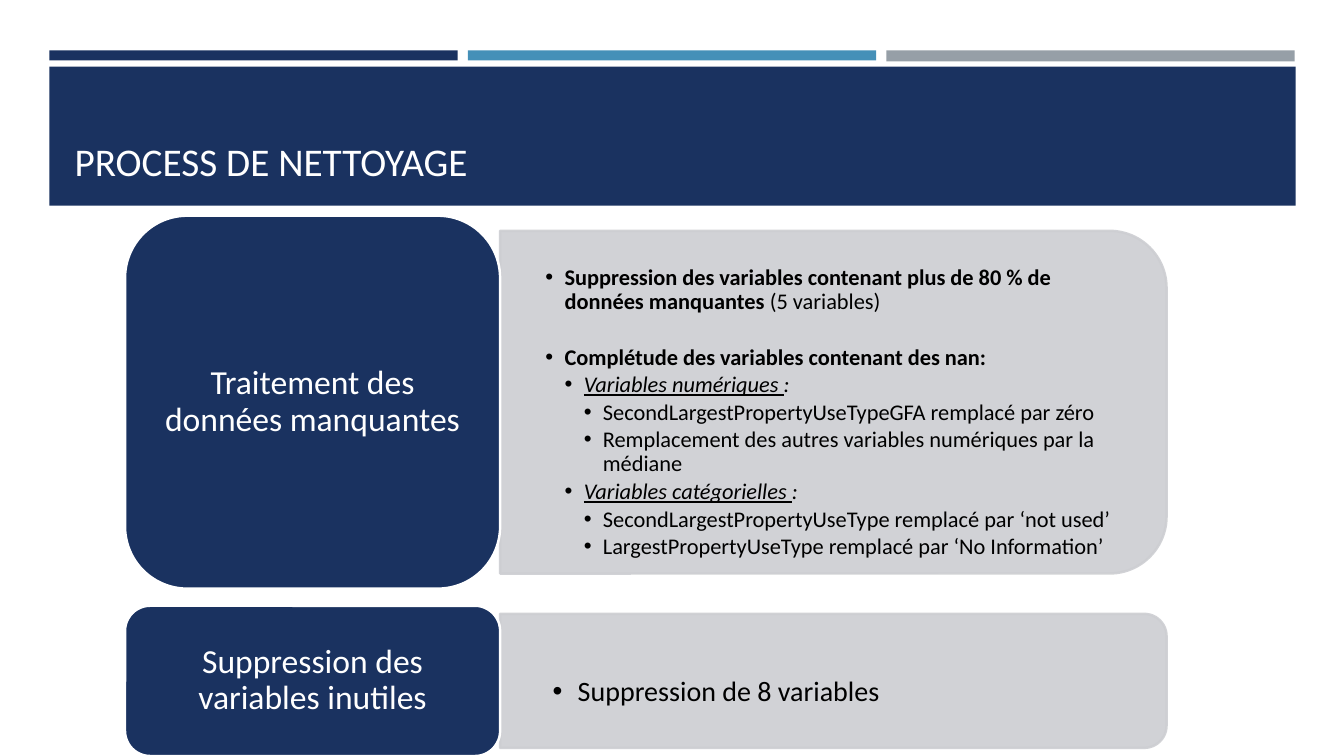
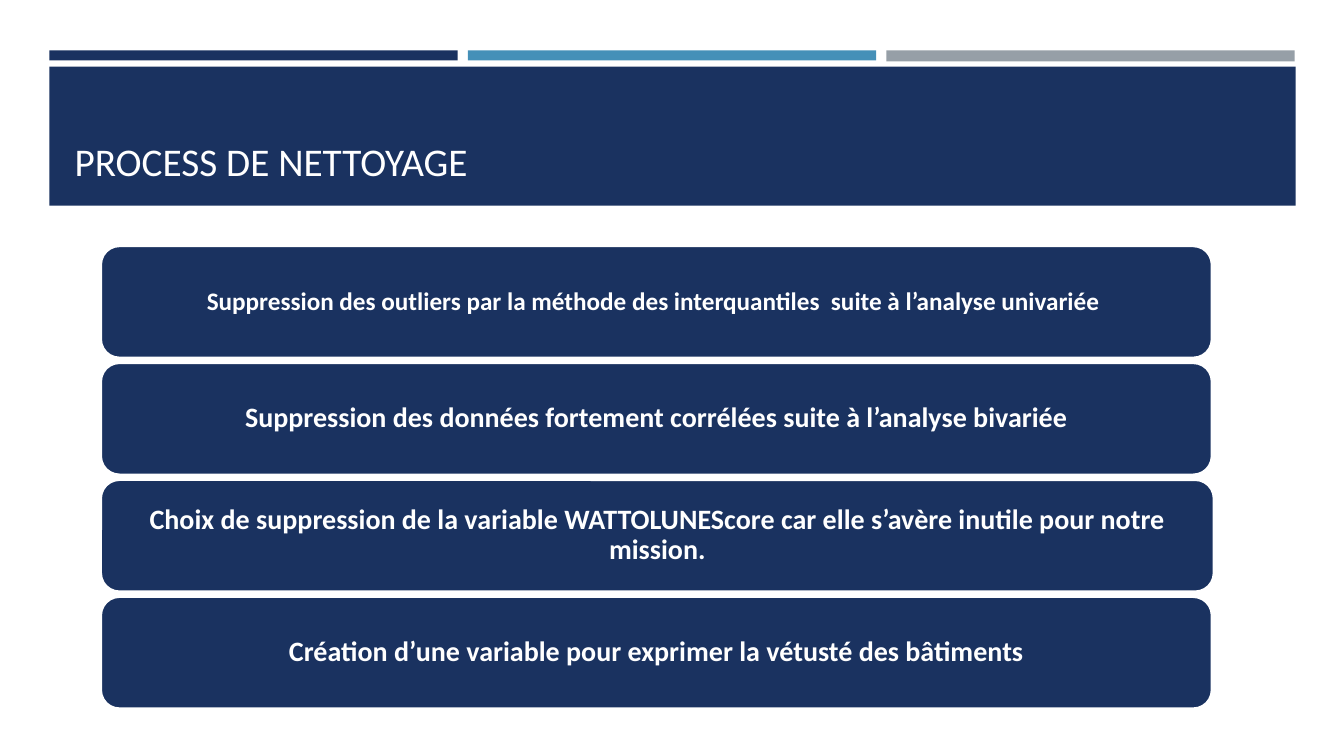
"""Build two slides on the data cleaning process."""
from pptx import Presentation
from pptx.dml.color import RGBColor
from pptx.enum.shapes import MSO_SHAPE as Kind
from pptx.enum.text import MSO_ANCHOR as Anchor, MSO_AUTO_SIZE as Fit, PP_ALIGN as Align
from pptx.oxml.ns import qn
from pptx.util import Inches, Pt
from lxml.etree import SubElement

FONT = "Calibri"
HUES = {"navy": "1A3260", "blue": "4590B8", "gray": "969FA7",
        "pale": "CDCED2", "white": "FFFFFF", "black": "000000"}
TITLE = "PROCESS DE NETTOYAGE"
BANDS = [("navy", 0.49, 0.5, 4.05, 0.1), ("blue", 4.64, 0.5, 4.05, 0.1),
         ("gray", 8.79, 0.5, 4.05, 0.11), ("navy", 0.49, 0.66, 12.36, 1.38)]

MISSING = [
    (1, 0, [("Suppression des variables contenant plus de 80 % de données manquantes ", "b"),
            ("(5 variables)", "")]),
    (1, 20, [("Complétude des variables contenant des nan:", "b")]),
    (2, 0, [("Variables numériques ", "iu"), (":", "i")]),
    (3, 0, [("SecondLargestPropertyUseTypeGFA remplacé par zéro", "")]),
    (3, 0, [("Remplacement des autres variables numériques par la médiane", "")]),
    (2, 0, [("Variables catégorielles ", "iu"), (":", "i")]),
    (3, 0, [("SecondLargestPropertyUseType remplacé par ‘not used’", "")]),
    (3, 0, [("LargestPropertyUseType remplacé par ‘No Information’", "")]),
]
USELESS = [(1, 0, [("Suppression de 8 variables", "")])]

ROWS = [
    {"head": "Traitement des données manquantes", "top": 2.14, "high": 3.7, "pad": 0.15,
     "list": MISSING, "size": 16, "step": 0.19, "at": (4.95, 2.64, 6.44, 2.95)},
    {"head": "Suppression des variables inutiles", "top": 6.01, "high": 1.49, "pad": 0.08,
     "list": USELESS, "size": 20, "step": 0.25, "at": (4.96, 6.72, 6.55, 0.5)},
]
STEPS = [
    ("Suppression des outliers par la méthode des interquantiles  suite à l’analyse univariée ", 18, 11.02),
    ("Suppression des données fortement corrélées suite à l’analyse bivariée", 20, 11.02),
    ("Choix de suppression de la variable WATTOLUNEScore car elle s’avère inutile pour notre mission.", 20, 11.04),
    ("Création d’une variable pour exprimer la vétusté des bâtiments", 20, 11.02),
]


def rgb(hue):
    return RGBColor.from_string(HUES[hue])


def place(item, left, top, wide, high):
    item.left, item.top = Inches(left), Inches(top)
    item.width, item.height = Inches(wide), Inches(high)


def write(para, text, size, hue, marks=""):
    run = para.add_run()
    run.text = text
    font = run.font
    font.name, font.size, font.color.rgb = FONT, Pt(size), rgb(hue)
    font.bold, font.italic, font.underline = "b" in marks, "i" in marks, "u" in marks


def draw(slide, kind, box, hue, edge=None):
    shape = slide.shapes.add_shape(kind, *map(Inches, box))
    shape.shadow.inherit = False
    shape.fill.solid()
    shape.fill.fore_color.rgb = rgb(hue)
    if edge:
        shape.line.color.rgb = rgb(edge)
        shape.line.width = Pt(1.75)
    else:
        shape.line.fill.background()
    return shape


def card(slide, box, text, size, marks="", pads=(0.1, 0.05)):
    shape = draw(slide, Kind.ROUNDED_RECTANGLE, box, "navy", "white")
    frame = shape.text_frame
    frame.word_wrap, frame.vertical_anchor = True, Anchor.MIDDLE
    frame.margin_left = frame.margin_right = Inches(pads[0])
    frame.margin_top = frame.margin_bottom = Inches(pads[1])
    para = frame.paragraphs[0]
    para.alignment, para.line_spacing = Align.CENTER, 0.9
    write(para, text, size, "white", marks)


def panel(slide, left, top, wide, high):
    box = (left + (wide - high) / 2, top + (high - wide) / 2, high, wide)
    shape = draw(slide, Kind.ROUND_2_SAME_RECTANGLE, box, "pale", "pale")
    shape.rotation = 90
    for tint in shape.element.spPr.iter(qn("a:srgbClr")):
        SubElement(tint, qn("a:alpha"), val="90000")


def bullets(slide, body, row):
    slide.shapes.element.append(body.element)
    place(body, *row["at"])
    frame = body.text_frame
    frame.word_wrap, frame.auto_size, frame.vertical_anchor = True, Fit.NONE, Anchor.TOP
    frame.margin_left = frame.margin_right = Inches(0.27)
    frame.margin_top = frame.margin_bottom = 0
    size, step = row["size"], row["step"]
    for num, (level, gap, runs) in enumerate(row["list"]):
        para = frame.add_paragraph() if num else frame.paragraphs[0]
        para.level, para.line_spacing, para.alignment = level, 0.9, Align.LEFT
        para.space_before, para.space_after = Pt(gap), Pt(size * 0.15)
        props = para._p.get_or_add_pPr()
        props.set("marL", str(Inches(step * (level + 1))))
        props.set("indent", str(Inches(-step)))
        SubElement(props, qn("a:buFont"), typeface="Arial")
        SubElement(props, qn("a:buChar"), char="•")
        for text, marks in runs:
            write(para, text, size, "black", marks)


def start(deck, index):
    slide = deck.slides.add_slide(deck.slide_layouts[index])
    para = slide.shapes.title.text_frame.paragraphs[0]
    para.alignment = Align.LEFT
    write(para, TITLE, 28, "white")
    return slide


def brand(deck, slide):
    master = deck.slide_master
    for spot, (hue, *box) in enumerate(BANDS, 2):
        band = draw(slide, Kind.RECTANGLE, box, hue)
        master.shapes.element.insert(spot, band.element)
    title = master.placeholders[0]
    place(title, 0.64, 0.8, 12.06, 1.08)
    title.text_frame.vertical_anchor = Anchor.BOTTOM


def main():
    deck = Presentation()
    deck.slide_width, deck.slide_height = Inches(13.33), Inches(7.5)

    slide = start(deck, 3)
    brand(deck, slide)
    bodies = list(slide.placeholders)[1:]
    for row, body in zip(ROWS, bodies):
        top, high, pad = row["top"], row["high"], row["pad"]
        panel(slide, 4.96, top + pad, 6.61, high - 2 * pad)
        bullets(slide, body, row)
        card(slide, (1.24, top, 3.72, high), row["head"], 24)

    slide = start(deck, 5)
    for num, (text, size, wide) in enumerate(STEPS):
        card(slide, (1, 2.44 + 1.16 * num, wide, 1.11), text, size, "b", (0.08, 0.04))

    deck.save("out.pptx")


if __name__ == "__main__":
    main()
